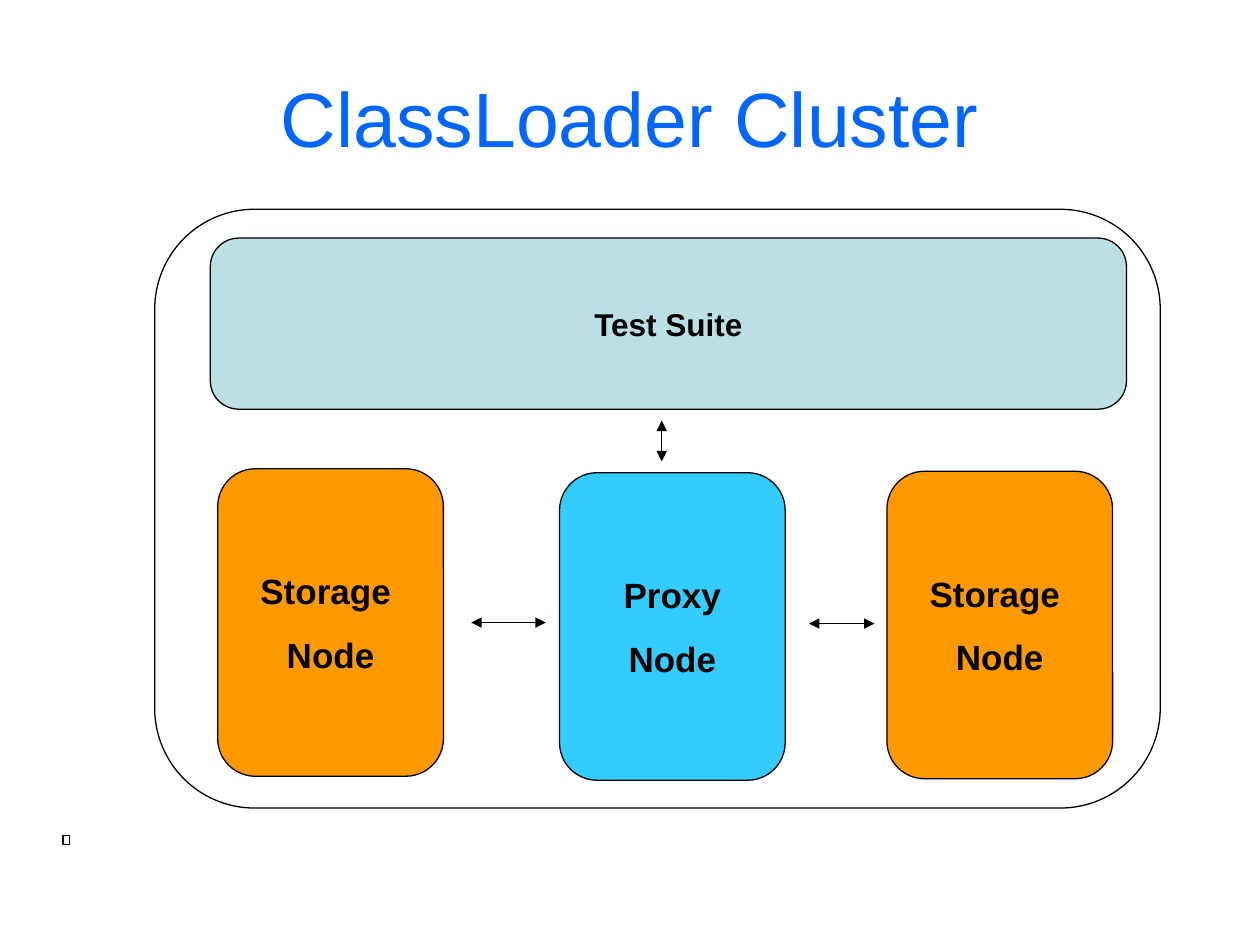
from lxml import etree
from pptx import Presentation
from pptx.dml.color import RGBColor
from pptx.enum.shapes import MSO_CONNECTOR, MSO_SHAPE
from pptx.enum.text import MSO_ANCHOR, PP_ALIGN
from pptx.oxml.ns import qn
from pptx.util import Cm, Pt

ROUNDED = MSO_SHAPE.FLOWCHART_ALTERNATE_PROCESS
RECT = MSO_SHAPE.RECTANGLE
STRAIGHT = MSO_CONNECTOR.STRAIGHT
CENTER = PP_ALIGN.CENTER
MIDDLE = MSO_ANCHOR.MIDDLE


def rgb(color):
    return RGBColor.from_string(color)


def write(tf, text, size=20, color="000000", bold=False, before=0):
    tf.text = text
    tf.vertical_anchor = MIDDLE
    for p in tf.paragraphs:
        p.alignment = CENTER
        p.space_before = Pt(before)
        for r in p.runs:
            r.font.name = "Arial"
            r.font.size = Pt(size)
            r.font.bold = bold
            r.font.color.rgb = rgb(color)


prs = Presentation()
prs.slide_width, prs.slide_height = Cm(25.4), Cm(19.05)
s = prs.slides.add_slide(prs.slide_layouts[5])

# Title
title = s.shapes.title
title.left, title.top, title.width, title.height = Cm(1.27), Cm(0.76), Cm(22.86), Cm(3.18)
write(title.text_frame, "ClassLoader Cluster", size=44, color="0066FF")

# Cluster frame, test suite, nodes and small marker
NODE_W, NODE_H = 4.55, 6.2
boxes = [
    (ROUNDED, 3.12, 4.22, 20.27, 12.07, None, "", 18),
    (ROUNDED, 4.24, 4.8, 18.47, 3.45, "BBE0E3", "Test Suite", 18),
    (ROUNDED, 4.39, 9.45, NODE_W, NODE_H, "FF9900", "Storage \nNode", 20),
    (ROUNDED, 11.28, 9.53, NODE_W, NODE_H, "33CCFF", "Proxy\nNode", 20),
    (RECT, 1.27, 16.84, 0.13, 0.18, None, "", 18),
    (ROUNDED, 17.88, 9.5, NODE_W, NODE_H, "FF9900", "Storage \nNode", 20),
]
for kind, x, y, w, h, fill, text, size in boxes:
    sp = s.shapes.add_shape(kind, Cm(x), Cm(y), Cm(w), Cm(h))
    sp.shadow.inherit = False
    sp.line.color.rgb = rgb("000000")
    sp.line.width = Pt(0.75)
    if fill:
        sp.fill.solid()
        sp.fill.fore_color.rgb = rgb(fill)
    else:
        sp.fill.background()
    if text:
        tf = sp.text_frame
        tf.margin_left = tf.margin_right = tf.margin_top = tf.margin_bottom = 0
        tf.word_wrap = False
        write(tf, text, size=size, bold=True, before=size * 0.625)

# Double-headed arrows between the parts
arrows = [
    (16.31, 12.57, 17.63, 12.57),
    (11.0, 12.55, 9.5, 12.55),
    (13.34, 8.48, 13.34, 9.3),
]
for x1, y1, x2, y2 in arrows:
    line = s.shapes.add_connector(STRAIGHT, Cm(x1), Cm(y1), Cm(x2), Cm(y2))
    line.line.color.rgb = rgb("000000")
    line.line.width = Pt(0.75)
    ln = line.line._get_or_add_ln()
    for end in ("a:headEnd", "a:tailEnd"):
        etree.SubElement(ln, qn(end), type="triangle")
    etree.SubElement(ln.getparent(), qn("a:effectLst"))

prs.save("out.pptx")
